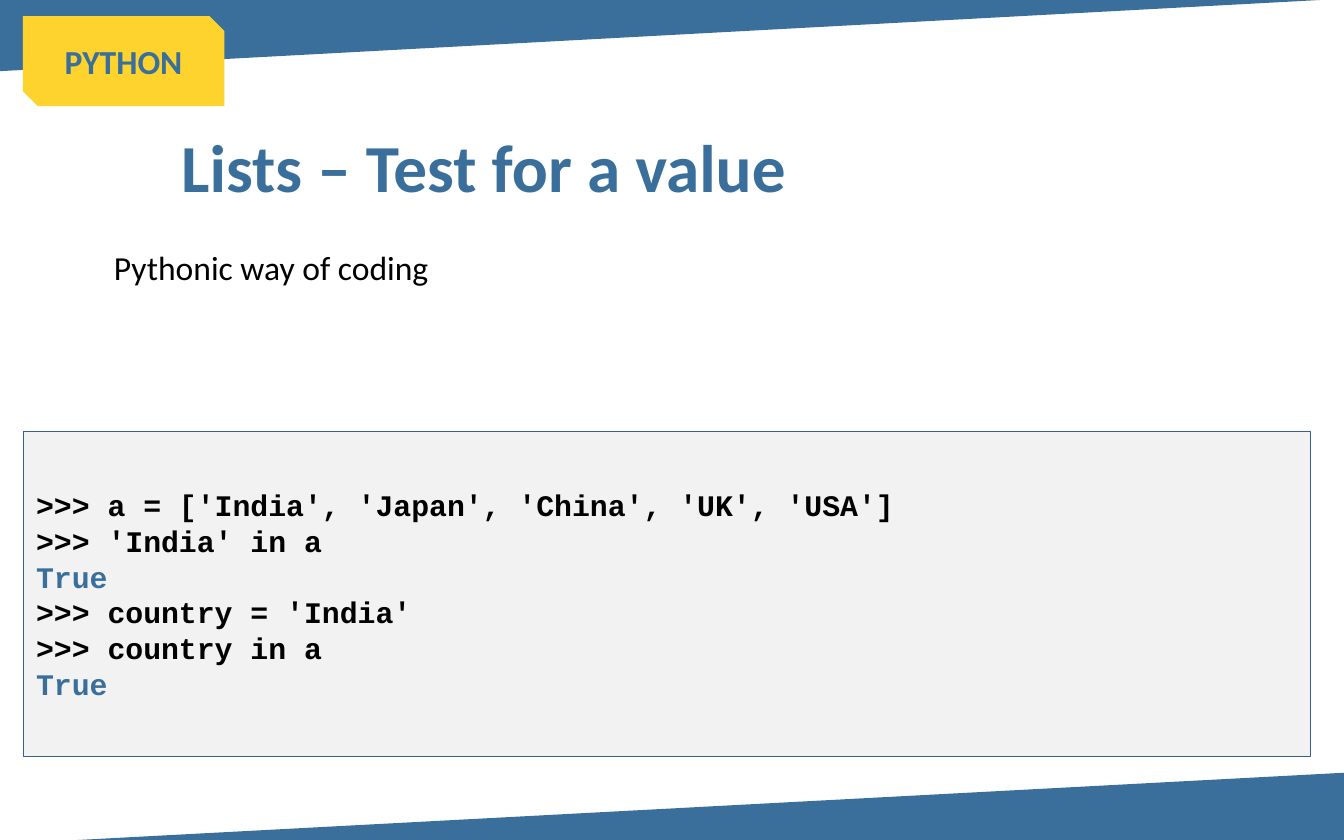
from pptx import Presentation
from pptx.dml.color import RGBColor
from pptx.enum.shapes import MSO_SHAPE
from pptx.enum.text import MSO_ANCHOR, PP_ALIGN
from pptx.util import Inches, Pt

SNIPPED = MSO_SHAPE.SNIP_2_DIAG_RECTANGLE
RECTANGLE = MSO_SHAPE.RECTANGLE
MIDDLE = MSO_ANCHOR.MIDDLE
LEFT, CENTER = PP_ALIGN.LEFT, PP_ALIGN.CENTER

COLORS = {
    "blue": "3A6F9B",
    "yellow": "FFD32E",
    "panel": "F2F2F2",
    "border": "3A5F8C",
    "black": "000000",
}
BADGE_FONT = {"name": "Calibri", "size": Pt(18), "bold": True}
TITLE_FONT = {"name": "Calibri", "size": Pt(36), "bold": True}
BODY_FONT = {"name": "Calibri", "size": Pt(18), "bold": False}
CODE_FONT = {"name": "Courier New", "size": Pt(16), "bold": True}

SESSION = [
    ">>> a = ['India', 'Japan', 'China', 'UK', 'USA']",
    ">>> 'India' in a",
    "True",
    ">>> country = 'India'",
    ">>> country in a",
    "True",
]


def color(name):
    """Return the named palette colour."""
    return RGBColor.from_string(COLORS[name])


def paint(shape, fill, line=None):
    """Give a shape a flat fill and an optional thin outline."""
    shape.shadow.inherit = False
    shape.fill.solid()
    shape.fill.fore_color.rgb = color(fill)
    if line:
        shape.line.color.rgb = color(line)
        shape.line.width = Pt(0.25)
    else:
        shape.line.fill.background()


def write_lines(shape, lines, font_format, alignment=LEFT):
    """Write (text, colour) pairs as the paragraphs of a shape."""
    frame = shape.text_frame
    for index, (text, color_name) in enumerate(lines):
        paragraph = frame.add_paragraph() if index else frame.paragraphs[0]
        paragraph.alignment = alignment
        run = paragraph.add_run()
        run.text = text
        for attribute, value in font_format.items():
            setattr(run.font, attribute, value)
        run.font.color.rgb = color(color_name)


def add_band(slide, box, corners):
    """Draw a triangular band through corners given as fractions of the box."""
    left, top, width, height = box
    points = [
        (Inches(left + width * x), Inches(top + height * y)) for x, y in corners
    ]
    builder = slide.shapes.build_freeform(*points[0])
    builder.add_line_segments(points[1:], close=True)
    paint(builder.convert_to_shape(), "blue")


def add_badge(slide, box, text):
    """Add the snipped topic badge."""
    badge = slide.shapes.add_shape(SNIPPED, *map(Inches, box))
    paint(badge, "yellow")
    badge.text_frame.vertical_anchor = MIDDLE
    write_lines(badge, [(text, "blue")], BADGE_FONT, CENTER)


def add_label(slide, box, text, font_format, color_name):
    """Add a single line of unwrapped text."""
    label = slide.shapes.add_textbox(*map(Inches, box))
    label.text_frame.word_wrap = False
    write_lines(label, [(text, color_name)], font_format)


def add_code_panel(slide, box, session):
    """Add the interpreter session, with its output lines in blue."""
    panel = slide.shapes.add_shape(RECTANGLE, *map(Inches, box))
    paint(panel, "panel", "border")
    panel.text_frame.vertical_anchor = MIDDLE
    panel.text_frame.word_wrap = True
    lines = [
        (text, "black" if text.startswith(">>>") else "blue") for text in session
    ]
    write_lines(panel, lines, CODE_FONT)


def main():
    """Build and save the slide."""
    presentation = Presentation()
    presentation.slide_width = Inches(10)
    presentation.slide_height = Inches(6.25)
    slide = presentation.slides.add_slide(presentation.slide_layouts[6])

    add_band(slide, (-0.17, 5.75, 10.17, 0.54), [(1, 1), (0, 1), (1, 0)])
    add_band(slide, (-0.01, -0.01, 10.02, 0.54), [(0, 0), (1, 0), (0, 1)])
    add_badge(slide, (0.17, 0.12, 1.5, 0.67), "PYTHON")
    add_label(
        slide, (1.25, 0.88, 4.75, 0.71), "Lists – Test for a value", TITLE_FONT, "blue"
    )
    add_code_panel(slide, (0.17, 3.21, 9.58, 2.42), SESSION)
    add_label(
        slide, (0.75, 1.79, 2.57, 0.4), "Pythonic way of coding", BODY_FONT, "black"
    )
    presentation.save("out.pptx")


if __name__ == "__main__":
    main()
